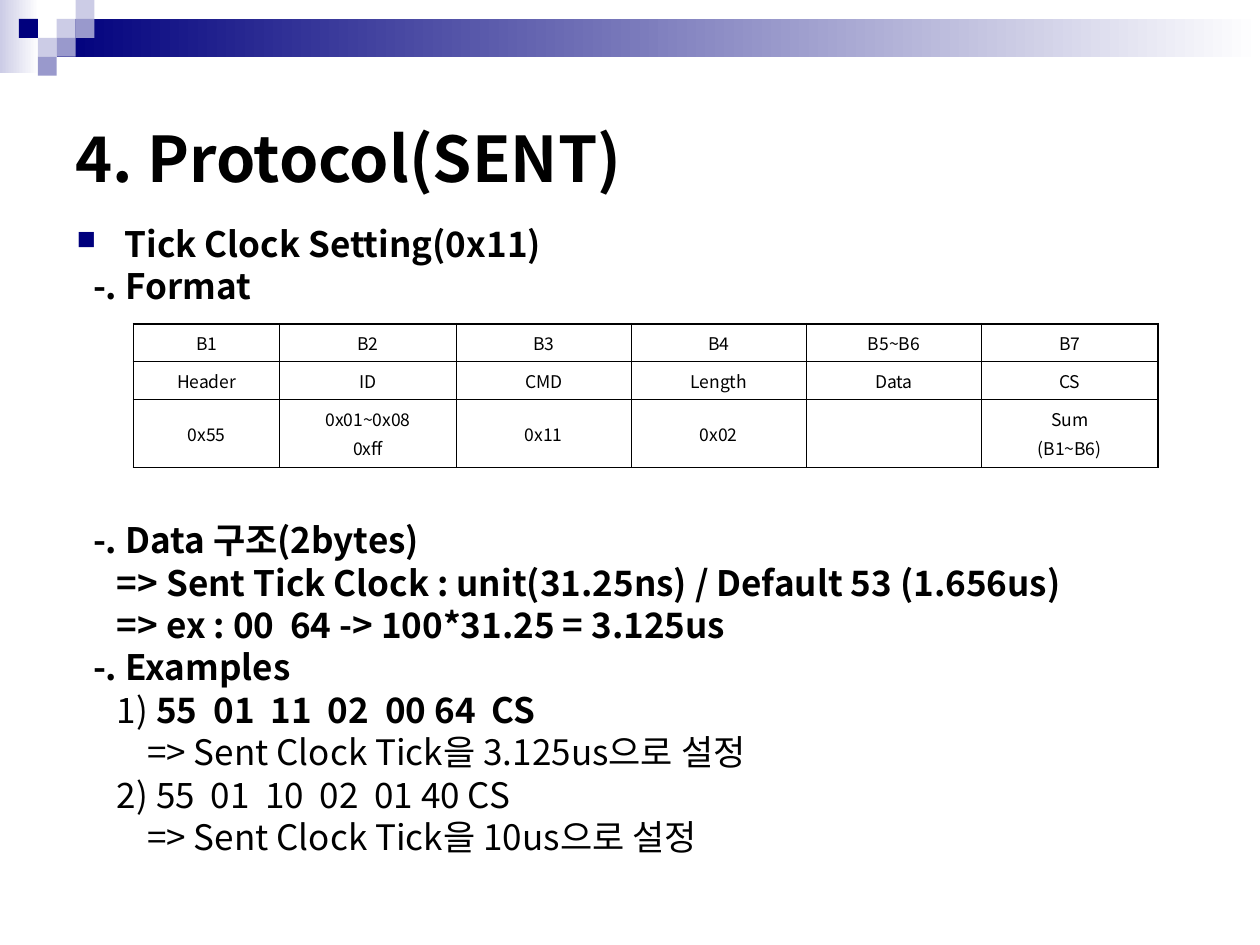
from lxml import etree
from pptx import Presentation
from pptx import util as u
from pptx.dml.color import RGBColor
from pptx.enum import shapes, text
from pptx.oxml.ns import qn

COLORS = {"black": "000000", "white": "FFFFFF", "navy": "00007D",
          "lilac": "CCCCE6", "violet": "9999CC"}


def rgb(name):
    return RGBColor.from_string(COLORS[name])


class Deck:
    font = "Noto Sans CJK KR"
    thin, thick = 0.45, 1.08

    def __init__(self):
        self.prs = Presentation()
        self.prs.slide_width, self.prs.slide_height = u.Inches(10), u.Inches(7.5)
        self.s = self.prs.slides.add_slide(self.prs.slide_layouts[6])

    def rect(self, x, y, w, h, color, fade=False):
        """Plain rectangle; fade runs from the colour to white, left to right."""
        sp = self.s.shapes.add_shape(shapes.MSO_SHAPE.RECTANGLE,
                                     *map(u.Inches, (x, y, w, h)))
        sp.shadow.inherit = False
        sp.line.fill.background()
        if fade:
            sp.fill.gradient()
            sp.fill.gradient_angle = 0
            for stop, name in zip(sp.fill.gradient_stops, (color, "white")):
                stop.color.rgb = rgb(name)
        else:
            sp.fill.solid()
            sp.fill.fore_color.rgb = rgb(color)

    def style(self, p, size, bold=False):
        p.font.name, p.font.size, p.font.bold = self.font, u.Pt(size), bold
        p.font.color.rgb = rgb("black")

    def textbox(self, x, y, w, h, anchor=text.MSO_ANCHOR.TOP):
        tf = self.s.shapes.add_textbox(*map(u.Inches, (x, y, w, h))).text_frame
        tf.word_wrap = True
        tf.vertical_anchor = anchor
        return tf

    def title(self, words, *box):
        p = self.textbox(*box, anchor=text.MSO_ANCHOR.MIDDLE).paragraphs[0]
        p.text = words
        self.style(p, 36, True)

    def body(self, lines, *box):
        """Each line is (left indent, space before, [(words, bold), ...])."""
        tf = self.textbox(*box)
        for i, (indent, before, runs) in enumerate(lines):
            p = tf.add_paragraph() if i else tf.paragraphs[0]
            p.line_spacing, p.space_before = 0.8, u.Pt(before)
            self.style(p, 20, runs[0][1])
            for words, bold in runs:
                r = p.add_run()
                r.text = words
                if bold != runs[0][1]:
                    r.font.bold = bold
            p._p.get_or_add_pPr().set("marL", str(u.Inches(indent)))
        self.bullet(tf.paragraphs[0], 0.38)

    def bullet(self, p, hang):
        pPr = p._p.get_or_add_pPr()
        pPr.set("indent", str(-u.Inches(hang)))
        clr = etree.Element(qn("a:buClr"))
        etree.SubElement(clr, qn("a:srgbClr"), val=COLORS["navy"])
        parts = [clr, etree.Element(qn("a:buSzPct"), val="75000"),
                 etree.Element(qn("a:buChar"), char="■")]
        for part in parts:
            pPr.find(qn("a:defRPr")).addprevious(part)

    def table(self, rows, x, y, widths, heights):
        tbl = self.s.shapes.add_table(
            len(rows), len(widths),
            *map(u.Inches, (x, y, sum(widths), sum(heights)))).table
        tbl.first_row = tbl.horz_banding = False
        for col, w in zip(tbl.columns, widths):
            col.width = u.Inches(w)
        for row, h in zip(tbl.rows, heights):
            row.height = u.Inches(h)
        last_r, last_c = len(rows) - 1, len(widths) - 1
        for r, row in enumerate(rows):
            for c, words in enumerate(row):
                cell = tbl.cell(r, c)
                cell.text = words
                cell.vertical_anchor = text.MSO_ANCHOR.MIDDLE
                for p in cell.text_frame.paragraphs:
                    p.alignment, p.space_before = text.PP_ALIGN.CENTER, u.Pt(2.5)
                    self.style(p, 10)
                self.borders(cell, {"lnL": c == 0, "lnR": c == last_c,
                                    "lnT": r == 0, "lnB": r == last_r})
                cell.fill.background()

    def borders(self, cell, outer):
        """Thick lines on the sides that lie on the table's outer edge."""
        tcPr = cell._tc.get_or_add_tcPr()
        for side, is_outer in outer.items():
            width = u.Pt(self.thick if is_outer else self.thin)
            ln = etree.SubElement(tcPr, qn("a:" + side), w=str(width))
            fill = etree.SubElement(ln, qn("a:solidFill"))
            etree.SubElement(fill, qn("a:srgbClr"), val=COLORS["black"])


def main():
    d = Deck()

    # Header band with its mosaic of squares
    d.rect(0, 0, 0.31, 0.58, "lilac", fade=True)
    d.rect(0.45, 0.15, 9.55, 0.3, "navy", fade=True)
    unit = 0.15
    for col, row, color in [(3, 1, "lilac"), (4, 0, "lilac"), (4, 1, "violet"),
                            (2, 2, "lilac"), (1, 1, "navy"), (3, 2, "violet"),
                            (2, 3, "violet")]:
        d.rect(col * unit, row * unit, unit, unit, color)

    # Title and body
    d.title("4. Protocol(SENT)", 0.5, 0.5, 9, 1.5)
    item, detail, result = 0.13, 0.32, 0.56
    gap, table_gap = 5, 126
    d.body([
        (0.38, gap, [("Tick Clock Setting(0x11)", True)]),
        (item, gap, [("-. Format", True)]),
        (item, table_gap, [("-. Data 구조(2bytes)", True)]),
        (detail, gap, [("=> Sent Tick Clock : unit(31.25ns) / Default 53 (1.656us)", True)]),
        (detail, gap, [("=> ex : 00  64 -> 100*31.25 = 3.125us", True)]),
        (item, gap, [("-. Examples", True)]),
        (detail, gap, [("1) ", False), ("55  01  11  02  00 64  CS", True)]),
        (result, gap, [("=> Sent Clock Tick을 3.125us으로 설정", False)]),
        (detail, gap, [("2) 55  01  10  02  01 40 CS", False)]),
        (result, gap, [("=> Sent Clock Tick을 10us으로 설정", False)]),
    ], 0.51, 1.78, 8.82, 5.35)

    # Message format table
    d.table([["B1", "B2", "B3", "B4", "B5~B6", "B7"],
             ["Header", "ID", "CMD", "Length", "Data", "CS"],
             ["0x55", "0x01~0x08\n0xff", "0x11", "0x02", "", "Sum\n(B1~B6)"]],
            1.06, 2.57, [1.16, 1.4, 1.39, 1.39, 1.39, 1.4], [0.3, 0.3, 0.54])

    d.prs.save("out.pptx")


if __name__ == "__main__":
    main()
